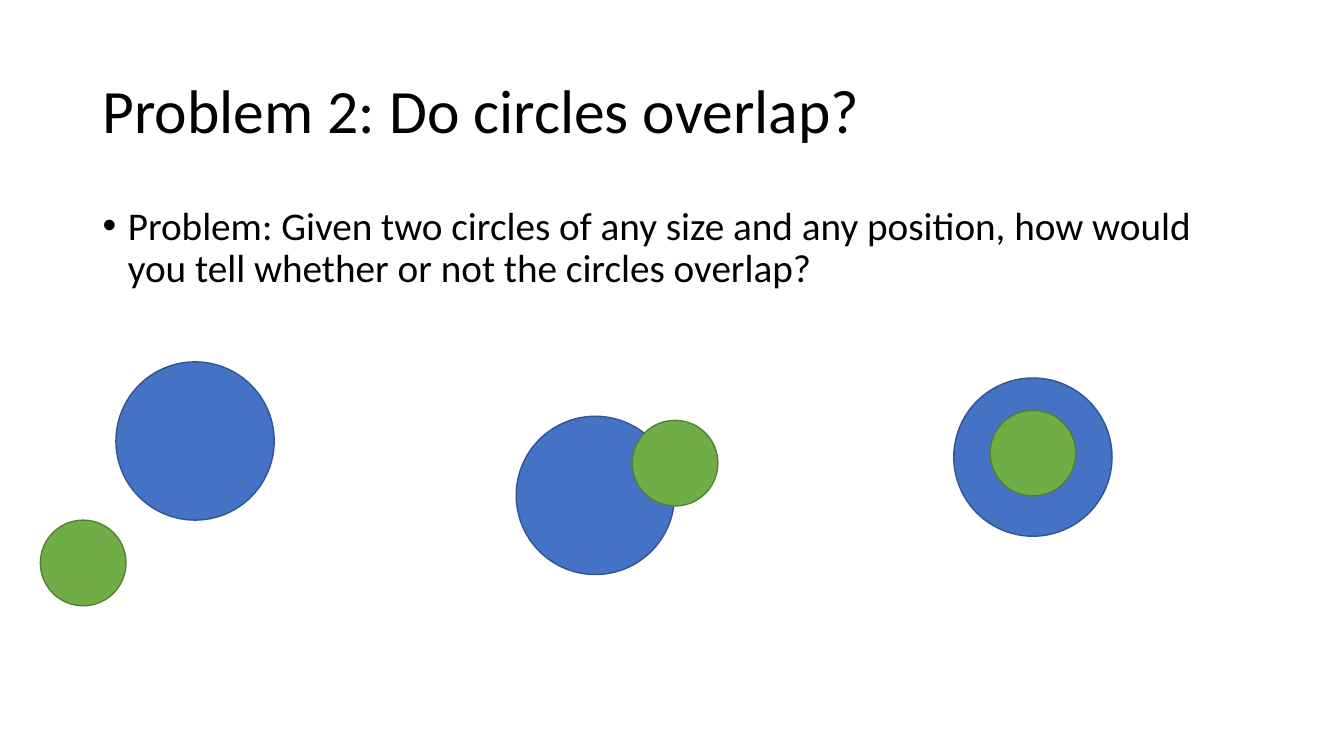
import pptx
import pptx.dml.color
import pptx.enum.shapes
import pptx.enum.text
import pptx.oxml
import pptx.util

Inches = pptx.util.Inches
Pt = pptx.util.Pt
Anchor = pptx.enum.text.MSO_ANCHOR

TITLE = "Problem 2: Do circles overlap?"
PROBLEM = ("Problem: Given two circles of any size and any position, how would "
           "you tell whether or not the circles overlap?")
BLUE = {"size": 1.57, "fill": "4472C4", "line": "325491"}
GREEN = {"size": 0.85, "fill": "70AD47", "line": "538035"}
CIRCLE_PAIRS = [
    ((1.15, 3.59), (0.4, 5.16)),
    ((5.12, 4.13), (6.27, 4.17)),
    ((9.46, 3.75), (9.82, 4.07)),
]


def color(value):
    return pptx.dml.color.RGBColor.from_string(value)


def add_text(slide, text, top, height, size, anchor, bullet=False):
    box = slide.shapes.add_textbox(
        Inches(0.92), Inches(top), Inches(11.5), Inches(height))
    frame = box.text_frame
    frame.word_wrap = True
    frame.vertical_anchor = anchor
    paragraph = frame.paragraphs[0]
    paragraph.line_spacing = 0.9
    if bullet:
        properties = paragraph._p.get_or_add_pPr()
        properties.set("marL", str(Inches(0.25)))
        properties.set("indent", str(Inches(-0.25)))
        namespace = pptx.oxml.ns.nsdecls("a")
        for element in ('<a:buFont %s typeface="Arial"/>',
                        '<a:buChar %s char="•"/>'):
            properties.append(pptx.oxml.parse_xml(element % namespace))
    run = paragraph.add_run()
    run.text = text
    run.font.name = "Calibri"
    run.font.size = Pt(size)
    run.font.color.rgb = color("000000")


def add_circle(slide, position, style):
    left, top = position
    diameter = Inches(style["size"])
    circle = slide.shapes.add_shape(
        pptx.enum.shapes.MSO_SHAPE.OVAL,
        Inches(left), Inches(top), diameter, diameter)
    circle.shadow.inherit = False
    circle.fill.solid()
    circle.fill.fore_color.rgb = color(style["fill"])
    circle.line.color.rgb = color(style["line"])
    circle.line.width = Pt(1)


def main():
    deck = pptx.Presentation()
    deck.slide_width = Inches(13.33)
    deck.slide_height = Inches(7.5)
    slide = deck.slides.add_slide(deck.slide_layouts[6])
    add_text(slide, TITLE, 0.4, 1.45, 44, Anchor.MIDDLE)
    add_text(slide, PROBLEM, 2, 4.76, 28, Anchor.TOP, bullet=True)
    for blue_position, green_position in CIRCLE_PAIRS:
        add_circle(slide, blue_position, BLUE)
        add_circle(slide, green_position, GREEN)
    deck.save("out.pptx")


if __name__ == "__main__":
    main()
